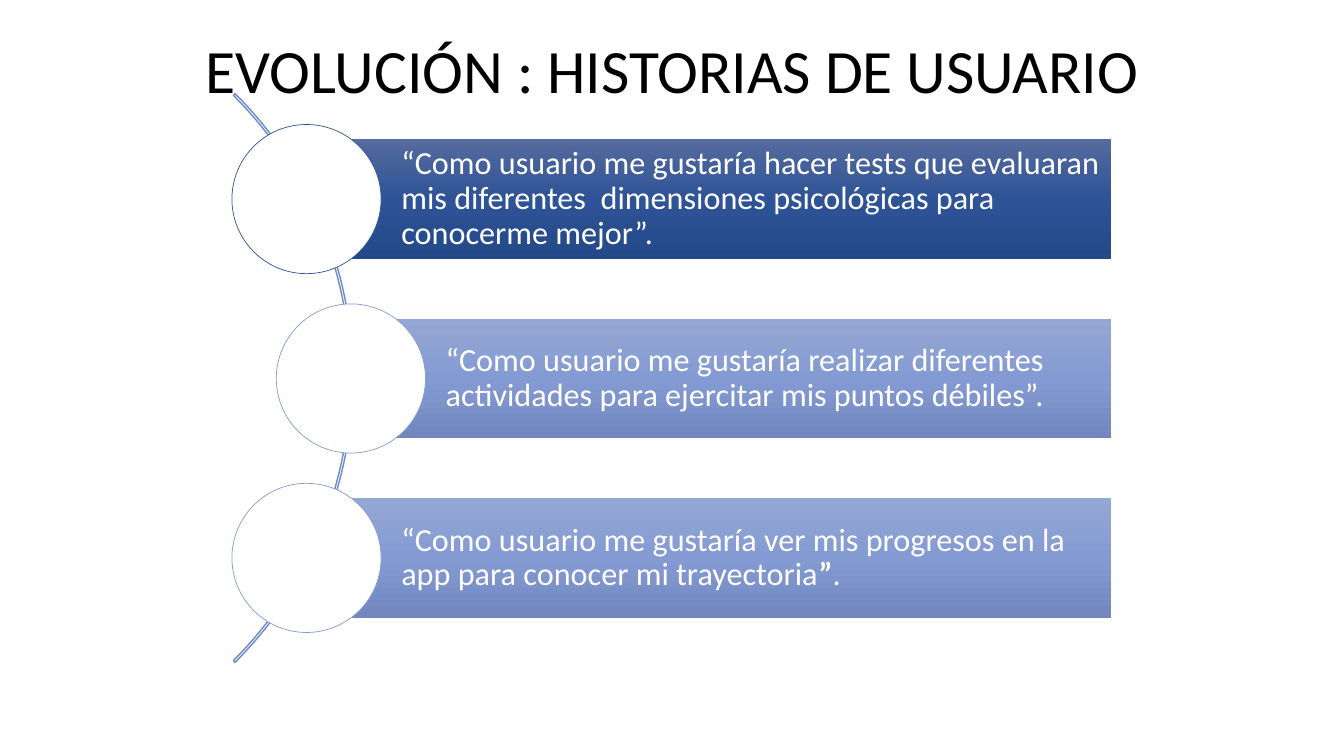
"""Build the slide of user stories strung along an arc."""
import copy
from dataclasses import dataclass

import pptx
import pptx.dml.color
import pptx.enum.shapes
import pptx.enum.text
import pptx.oxml.ns
import pptx.util

Inches = pptx.util.Inches
Pt = pptx.util.Pt
RGB = pptx.dml.color.RGBColor.from_string
SHAPE = pptx.enum.shapes.MSO_SHAPE
ALIGN = pptx.enum.text.PP_ALIGN


@dataclass(frozen=True)
class Theme:
    font: str = "Calibri"
    title_size: int = 44
    story_size: int = 23
    black: str = "000000"
    white: str = "FFFFFF"
    arc: str = "6D89CB"
    dark_ring: str = "325491"
    light_ring: str = "879BCE"
    dark_bar: tuple = ("566B9E", "2E5396", "244989")
    light_bar: tuple = ("95A7D4", "849AD2", "7187BE")


theme = Theme()


def write(holder, runs, size, color, align, insets):
    """Put one paragraph of (text, bold) runs into a shape."""
    frame = holder.text_frame
    frame.word_wrap = True
    frame.vertical_anchor = pptx.enum.text.MSO_ANCHOR.MIDDLE
    frame.margin_left, frame.margin_top, frame.margin_right, frame.margin_bottom = (
        Inches(inset) for inset in insets)
    paragraph = frame.paragraphs[0]
    paragraph.alignment = align
    paragraph.line_spacing = 0.9
    for text, bold in runs:
        run = paragraph.add_run()
        run.text = text
        run.font.name = theme.font
        run.font.size = Pt(size)
        run.font.bold = bold
        run.font.color.rgb = RGB(color)


def add_outline(kind, left, top, size, color, width):
    """Add a square-framed shape with a coloured line."""
    outline = slide.shapes.add_shape(
        kind, Inches(left), Inches(top), Inches(size), Inches(size))
    outline.shadow.inherit = False
    outline.line.color.rgb = RGB(color)
    outline.line.width = Pt(width)
    return outline


deck = pptx.Presentation()
deck.slide_width, deck.slide_height = Inches(13.33), Inches(7.5)
slide = deck.slides.add_slide(deck.slide_layouts[6])

arc = add_outline(SHAPE.BLOCK_ARC, -4.48, -0.24, 7.98, theme.arc, 1)
arc.fill.background()
for index, value in enumerate((189, 27, 0.003)):
    arc.adjustments[index] = value

stories = [
    (3.04, theme.dark_bar, theme.dark_ring,
     [("“Como usuario me gustaría hacer tests que evaluaran mis diferentes  "
       "dimensiones psicológicas para conocerme mejor”.", False)]),
    (3.48, theme.light_bar, theme.light_ring,
     [("“Como usuario me gustaría realizar diferentes actividades para "
       "ejercitar mis puntos débiles”.", False)]),
    (3.04, theme.light_bar, theme.light_ring,
     [("“Como usuario me gustaría ver mis progresos en la app para conocer "
       "mi trayectoria", False), ("”", True), (".", False)]),
]
bar_right, bar_height, first_top, pitch = 11.02, 1.19, 1.38, 1.78
circle_size = 1.48

for row, (left, shades, ring, runs) in enumerate(stories):
    top = first_top + row * pitch
    bar = slide.shapes.add_shape(
        SHAPE.RECTANGLE, Inches(left), Inches(top),
        Inches(bar_right - left), Inches(bar_height))
    bar.shadow.inherit = False
    bar.line.fill.background()
    bar.fill.gradient()
    bar.fill.gradient_angle = 270
    first_stop = bar.element.find(".//" + pptx.oxml.ns.qn("a:gs"))
    first_stop.addnext(copy.deepcopy(first_stop))
    for stop, position, shade in zip(bar.fill.gradient_stops, (0, 0.5, 1), shades):
        stop.position = position
        stop.color.rgb = RGB(shade)
    write(bar, runs, size=theme.story_size, color=theme.white,
          align=ALIGN.LEFT, insets=(0.94, 0.06, 0.06, 0.06))

    circle = add_outline(
        SHAPE.OVAL, left - circle_size / 2,
        top + (bar_height - circle_size) / 2, circle_size, ring, 0.5)
    circle.fill.solid()
    circle.fill.fore_color.rgb = RGB(theme.white)

title = slide.shapes.add_textbox(Inches(0.92), Inches(0), Inches(11.5), Inches(1.45))
write(title, [("EVOLUCIÓN : HISTORIAS DE USUARIO", False)], size=theme.title_size,
      color=theme.black, align=ALIGN.CENTER, insets=(0.1, 0.05, 0.1, 0.05))

deck.save("out.pptx")
